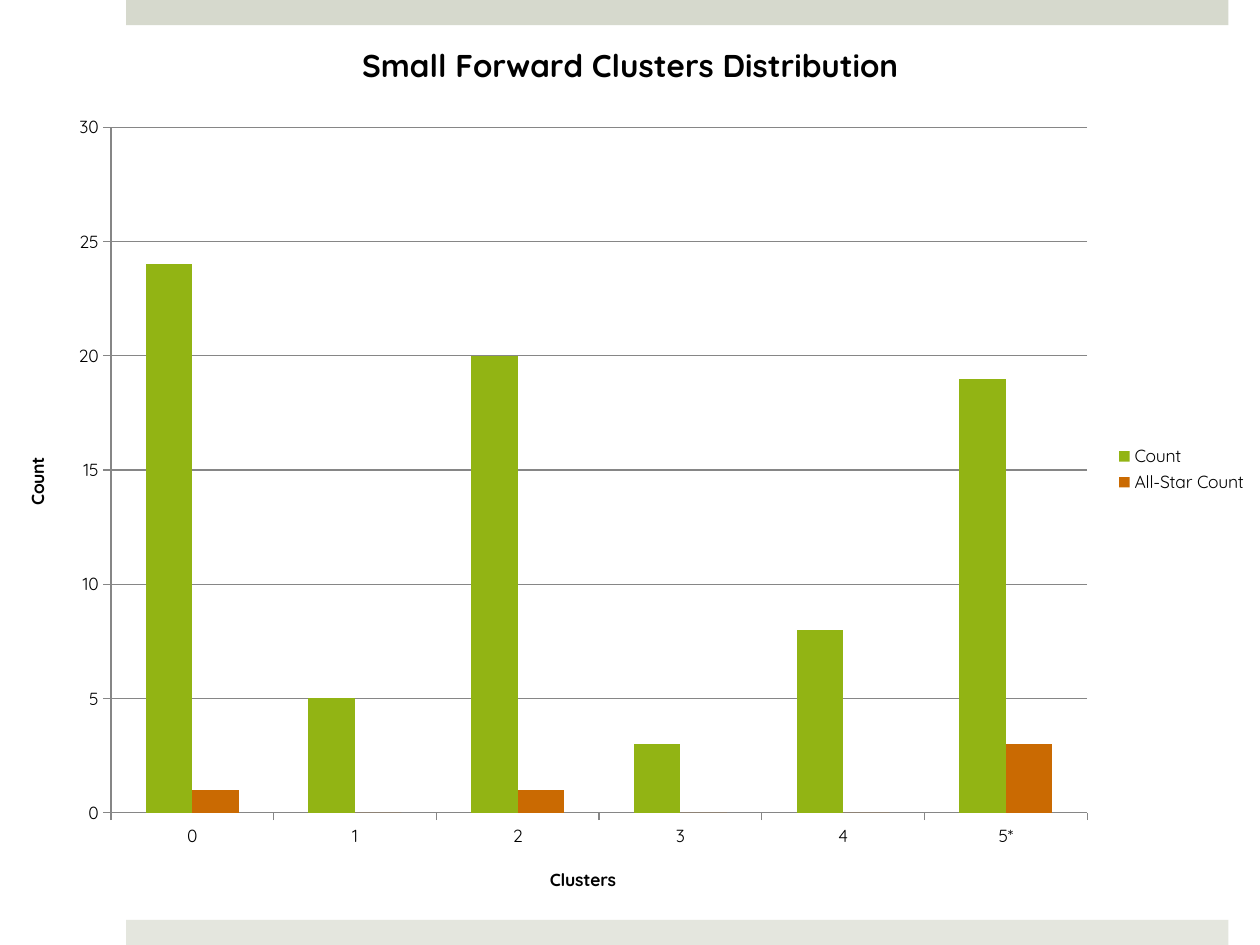
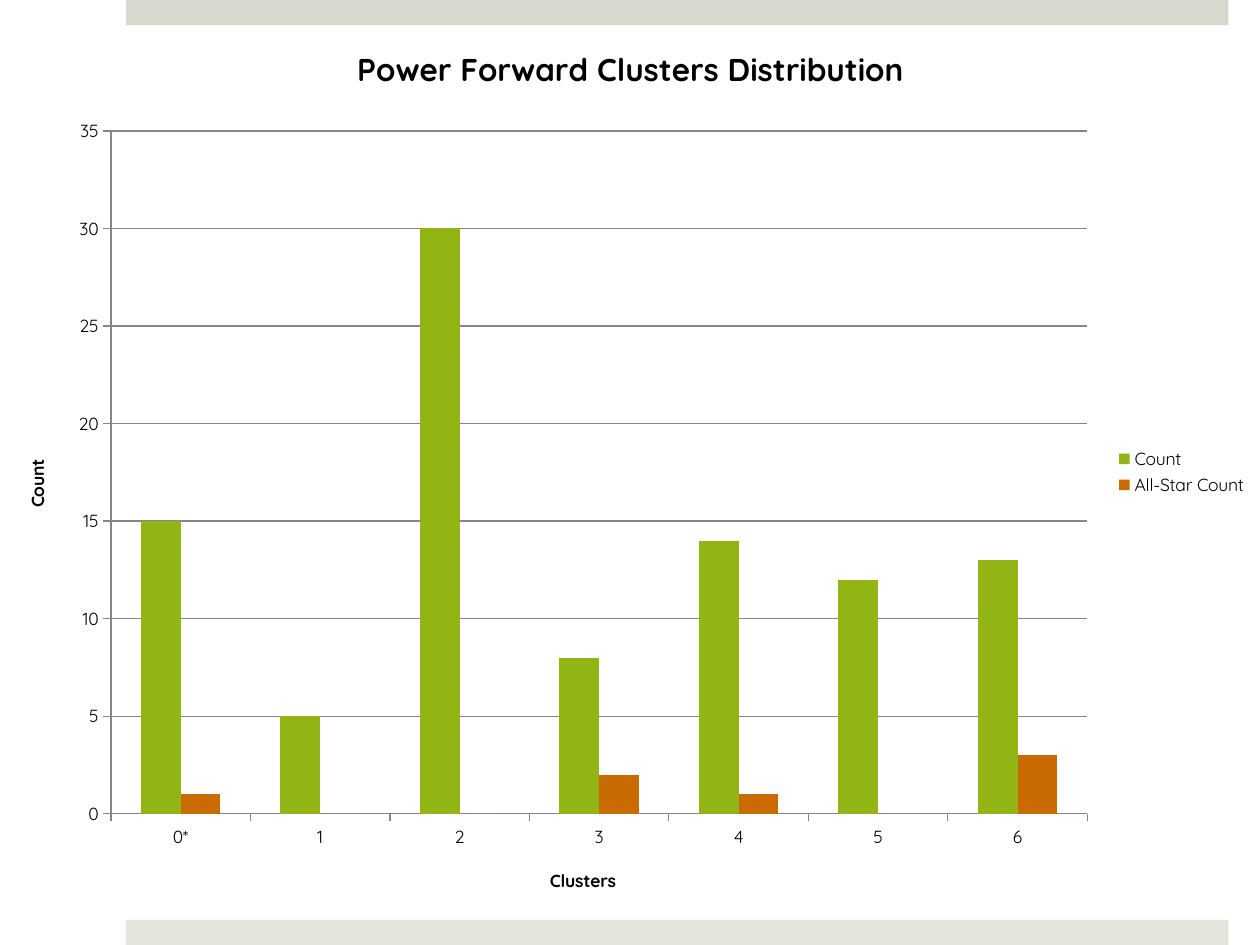
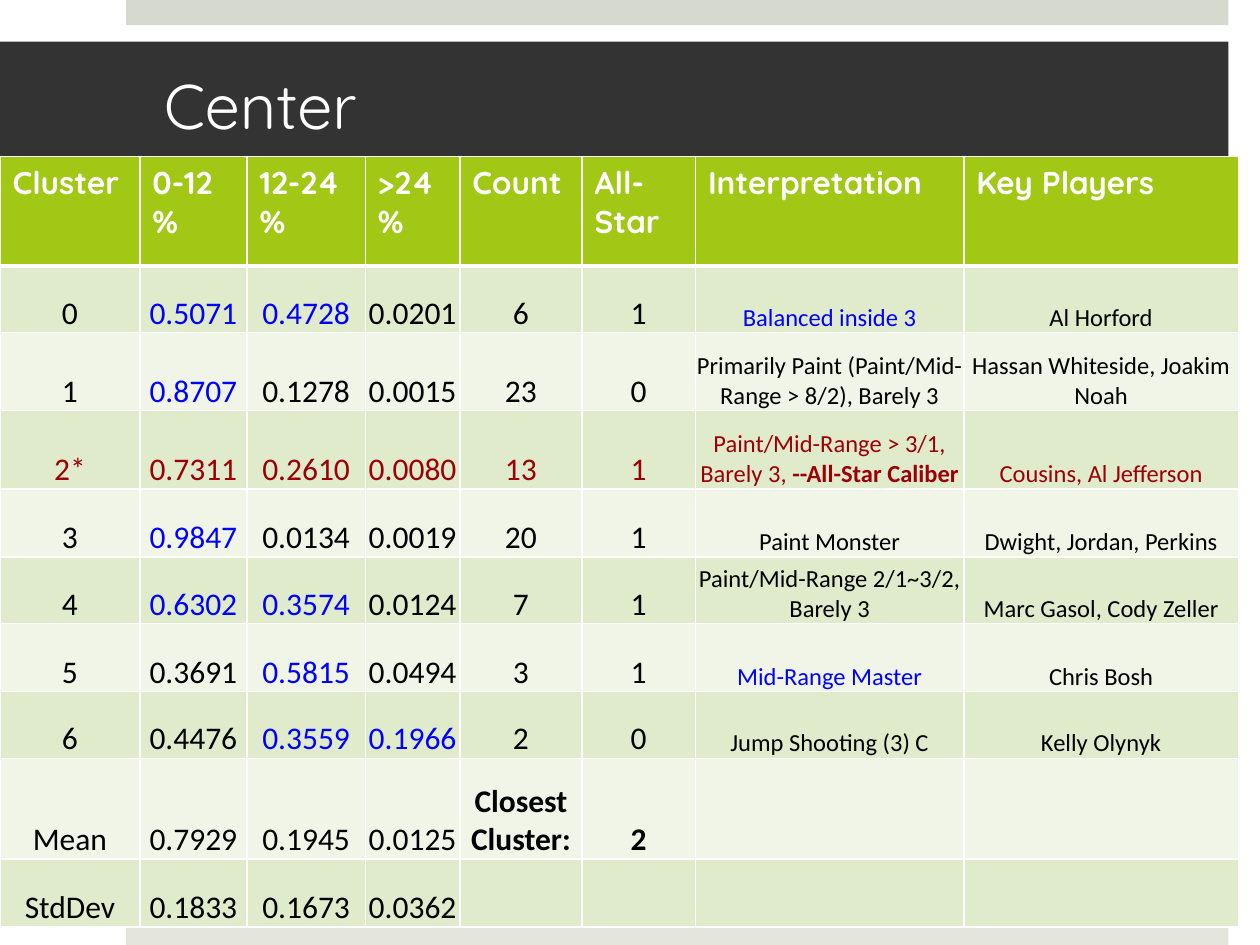
from lxml import etree
from pptx import Presentation
from pptx import util as u
from pptx.chart.data import CategoryChartData
from pptx.dml.color import RGBColor
from pptx.enum import chart as ch, shapes, text
from pptx.oxml.ns import qn

C = {"band_top": "D6D9CD", "band_bottom": "E4E6DE", "title": "333333",
     "green": "A2C816", "orange": "E07602", "grid": "868686",
     "row_odd": "E0EBCC", "row_even": "F0F5E8",
     "white": "FFFFFF", "black": "000000", "blue": "0000FF", "red": "9C0006"}
HEAD_FONT, BODY_FONT = "Quicksand", "Calibri"
W, H = u.Inches(10), u.Inches(7.5)
COL, ROW = W / 10, H / 7.5
TITLE_ONLY, BLANK = 5, 6

COL_WIDTHS = [1.11, 0.85, 0.94, 0.75, 0.97, 0.9, 2.13, 2.18]
ROW_HEIGHTS = [0.87, 0.53, 0.62, 0.62, 0.54, 0.53, 0.54, 0.53, 0.8, 0.54]
HEADER = ["Cluster", "0-12 %", "12-24 %", ">24 %", "Count", "All-Star",
          "Interpretation", "Key Players"]
CENTERS = [
    ["0", "0.5071", "0.4728", "0.0201", "6", "1", "Balanced inside 3", "Al Horford"],
    ["1", "0.8707", "0.1278", "0.0015", "23", "0",
     "Primarily Paint (Paint/Mid-Range > 8/2), Barely 3",
     "Hassan Whiteside, Joakim Noah"],
    ["2*", "0.7311", "0.2610", "0.0080", "13", "1",
     "Paint/Mid-Range > 3/1, Barely 3, **--All-Star Caliber**",
     "Cousins, Al Jefferson"],
    ["3", "0.9847", "0.0134", "0.0019", "20", "1", "Paint Monster",
     "Dwight, Jordan, Perkins"],
    ["4", "0.6302", "0.3574", "0.0124", "7", "1",
     "Paint/Mid-Range 2/1~3/2, Barely 3", "Marc Gasol, Cody Zeller"],
    ["5", "0.3691", "0.5815", "0.0494", "3", "1", "Mid-Range Master", "Chris Bosh"],
    ["6", "0.4476", "0.3559", "0.1966", "2", "0", "Jump Shooting (3) C",
     "Kelly Olynyk"],
    ["Mean", "0.7929", "0.1945", "0.0125", "**Closest Cluster:**", "**2**", "", ""],
    ["StdDev", "0.1833", "0.1673", "0.0362", "", "", "", ""],
]
BLUE_COLS = {"0": {1, 2, 6}, "1": {1}, "3": {1}, "4": {1, 2}, "5": {2, 6}, "6": {2, 3}}


def rgb(name):
    return RGBColor.from_string(C[name])


def at(left, top, width, height):
    return [u.Emu(round(n)) for n in (left * COL, top * ROW, width * COL, height * ROW)]


def paint(obj, color):
    obj.fill.solid()
    obj.fill.fore_color.rgb = rgb(color)


def style_font(font, size, color="black", name=HEAD_FONT, bold=False):
    font.size, font.name, font.bold = u.Pt(size), name, bold
    font.color.rgb = rgb(color)


def write(tf, s, align=text.PP_ALIGN.LEFT, bold=False, **fmt):
    p = tf.paragraphs[0]
    p.alignment = align
    for i, part in enumerate(s.split("**")):
        if part:
            r = p.add_run()
            r.text = part
            style_font(r.font, bold=bold or i % 2 == 1, **fmt)


def add_band(slide, color, top):
    sp = slide.shapes.add_shape(shapes.MSO_SHAPE.RECTANGLE, *at(1, top, 8.75, 0.2))
    sp.shadow.inherit = False
    paint(sp, color)
    sp.line.fill.background()


def add_slide(prs, layout):
    slide = prs.slides.add_slide(prs.slide_layouts[layout])
    add_band(slide, "band_top", 0)
    add_band(slide, "band_bottom", 7.3)
    return slide


def place(parent, before, **shares):
    for old in parent.findall(qn("c:layout")):
        parent.remove(old)
    layout = etree.Element(qn("c:layout"))
    manual = etree.SubElement(layout, qn("c:manualLayout"))
    if "w" in shares:
        etree.SubElement(manual, qn("c:layoutTarget"), val="inner")
    for side in "xy":
        etree.SubElement(manual, qn(f"c:{side}Mode"), val="edge")
    for key, share in shares.items():
        etree.SubElement(manual, qn(f"c:{key}"), val=f"{share:.4f}")
    parent.find(qn(before)).addprevious(layout)


def style_axis(axis, title):
    axis.has_title = True
    write(axis.axis_title.text_frame, title, size=10, bold=True)
    axis.major_tick_mark = ch.XL_TICK_MARK.OUTSIDE
    axis.minor_tick_mark = ch.XL_TICK_MARK.NONE
    style_font(axis.tick_labels.font, 10)
    axis.format.line.color.rgb = rgb("grid")
    axis.format.line.width = u.Pt(0.75)


def add_cluster_chart(slide, title, title_left, top, height, cats, counts, stars, peak):
    data = CategoryChartData(number_format="General")
    data.categories = cats
    data.add_series("Count", counts)
    data.add_series("All-Star Count", stars)
    chart = slide.shapes.add_chart(ch.XL_CHART_TYPE.COLUMN_CLUSTERED,
                                   *at(0, top, 10, height), data).chart
    style_font(chart.font, 10)
    chart.has_title = True
    write(chart.chart_title.text_frame, title, size=18, bold=True)
    chart.chart_title.include_in_layout = False
    chart.has_legend = True
    chart.legend.position = ch.XL_LEGEND_POSITION.RIGHT
    chart.legend.include_in_layout = False
    style_font(chart.legend.font, 10)
    style_axis(chart.category_axis, "Clusters")
    style_axis(chart.value_axis, "Count")
    axis = chart.value_axis
    axis.minimum_scale, axis.maximum_scale, axis.major_unit = 0, peak, 5
    axis.has_major_gridlines = True
    axis.major_gridlines.format.line.color.rgb = rgb("grid")
    axis.major_gridlines.format.line.width = u.Pt(0.75)
    plot = chart.plots[0]
    plot.gap_width, plot.overlap, plot.vary_by_categories = 150, 0, False
    for series, color in zip(plot.series, ("green", "orange")):
        paint(series.format, color)
        series.format.fill.fore_color.brightness = -0.1
        series.invert_if_negative = False
    place(chart.chart_title._element, "c:overlay", x=title_left / 10, y=0.11 / height)
    place(chart._chartSpace.chart.plotArea, "c:barChart", x=0.88 / 10,
          y=0.83 / height, w=7.75 / 10, h=(height - 1.65) / height)


def add_title(slide, s):
    sp = slide.shapes.title
    sp.left, sp.top, sp.width, sp.height = at(0, 0.33, 9.75, 1)
    paint(sp, "title")
    tf = sp.text_frame
    tf.auto_size = text.MSO_AUTO_SIZE.NONE
    tf.vertical_anchor = text.MSO_ANCHOR.MIDDLE
    tf.margin_left, tf.margin_right = u.Inches(1.3), u.Inches(0.3)
    tf.margin_top = tf.margin_bottom = u.Inches(0.05)
    write(tf, s, size=36, color="white")


def set_borders(cell, bottom):
    tcPr = cell._tc.get_or_add_tcPr()
    for side, width in (("L", 1), ("R", 1), ("T", 1), ("B", bottom)):
        ln = etree.SubElement(tcPr, qn(f"a:ln{side}"), w=str(u.Pt(width)))
        fill = etree.SubElement(ln, qn("a:solidFill"))
        etree.SubElement(fill, qn("a:srgbClr"), val=C["white"])


def fill_header_cell(cell, s):
    set_borders(cell, 3)
    paint(cell, "green")
    write(cell.text_frame, s, size=18, color="white", bold=True)


def fill_body_cell(cell, s, row, col, cluster):
    set_borders(cell, 1)
    paint(cell, "row_odd" if row % 2 else "row_even")
    cell.vertical_anchor = text.MSO_ANCHOR.BOTTOM
    cell.margin_left = cell.margin_right = cell.margin_top = u.Inches(0.01)
    cell.margin_bottom = 0
    color = "red" if cluster == "2*" else "black"
    if col in BLUE_COLS.get(cluster, ()):
        color = "blue"
    write(cell.text_frame, s, align=text.PP_ALIGN.CENTER, name=BODY_FONT,
          size=18 if col < 6 else 14, color=color)


def add_center_table(slide):
    box = at(0, 1.24, sum(COL_WIDTHS), sum(ROW_HEIGHTS))
    table = slide.shapes.add_table(len(ROW_HEIGHTS), len(COL_WIDTHS), *box).table
    for column, width in zip(table.columns, COL_WIDTHS):
        column.width = round(width * COL)
    for row, height in zip(table.rows, ROW_HEIGHTS):
        row.height = round(height * ROW)
    for j, s in enumerate(HEADER):
        fill_header_cell(table.cell(0, j), s)
    for i, cells in enumerate(CENTERS, 1):
        for j, s in enumerate(cells):
            fill_body_cell(table.cell(i, j), s, i, j, cells[0])


def main():
    prs = Presentation()
    prs.slide_width, prs.slide_height = W, H
    small, power, center = [add_slide(prs, n) for n in (BLANK, BLANK, TITLE_ONLY)]
    add_cluster_chart(small, "Small Forward Clusters Distribution", 2.83, 0.18, 7.09,
                      ["0", "1", "2", "3", "4", "5*"],
                      [24, 5, 20, 3, 8, 19], [1, 0, 1, 0, 0, 3], 30)
    add_cluster_chart(power, "Power Forward Clusters Distribution", 2.79, 0.21, 7.07,
                      ["0*", "1", "2", "3", "4", "5", "6"],
                      [15, 5, 30, 8, 14, 12, 13], [1, 0, 0, 2, 1, 0, 3], 35)
    add_title(center, "Center")
    add_center_table(center)
    prs.save("out.pptx")


if __name__ == "__main__":
    main()
